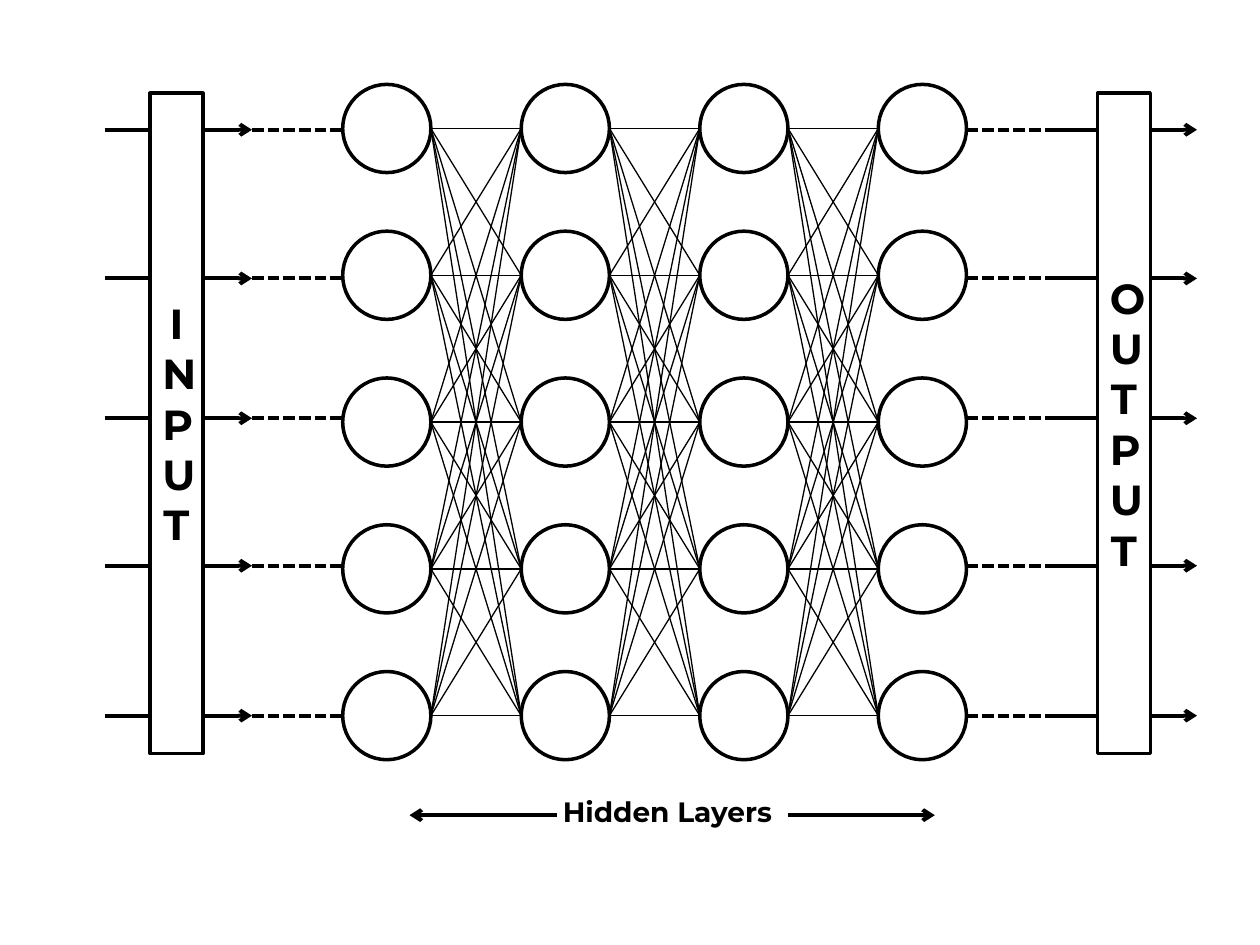
from dataclasses import dataclass
from itertools import product

from lxml.etree import SubElement
from pptx import Presentation
from pptx.dml.color import RGBColor
from pptx.enum.dml import MSO_LINE_DASH_STYLE as Dash
from pptx.enum.shapes import MSO_CONNECTOR as Connector, MSO_SHAPE as Shape
from pptx.enum.text import MSO_ANCHOR as Anchor, MSO_AUTO_SIZE as AutoSize, PP_ALIGN as Align
from pptx.oxml.ns import qn
from pptx.util import Inches, Pt


@dataclass(frozen=True)
class Theme:
    font: str = "Montserrat"
    ink: RGBColor = RGBColor(0, 0, 0)
    paper: RGBColor = RGBColor(255, 255, 255)
    bar_size: float = 24
    caption_size: float = 16
    outline: float = 2
    signal: float = 2.25
    link: float = 0.75


@dataclass(frozen=True)
class Grid:
    left: float = 2.72
    middle: float = 1.02
    column_step: float = 1.417
    row_step: float = 1.165
    columns: int = 4
    rows: int = 5
    diameter: float = 0.7

    def x(self, column: int) -> float:
        return self.left + column * self.column_step

    def y(self, row: int) -> float:
        return self.middle + row * self.row_step


@dataclass(frozen=True)
class Bar:
    label: str
    left: float
    arrow: tuple[float, float]
    dashes: tuple[float, float]


THEME = Theme()
GRID = Grid()
SIGNAL_ROWS = (1.03, 2.21, 3.32, 4.49, 5.68)
BARS = (
    Bar("INPUT", 1.19, (0.83, 2.0), (2.0, 2.72)),
    Bar("OUTPUT", 8.71, (8.33, 9.5), (7.67, 8.38)),
)
BAR_TOP, BAR_WIDTH, BAR_HEIGHT = 0.74, 0.42, 5.24
CAPTION_Y = 6.47
CAPTION_ARROWS = ((4.42, 3.25), (6.25, 7.42))

prs = Presentation()
prs.slide_width, prs.slide_height = Inches(10), Inches(7.5)
s = prs.slides.add_slide(prs.slide_layouts[6])


def add_line(start: tuple[float, float], end: tuple[float, float], width: float,
             arrow: bool = False, dashed: bool = False) -> None:
    sp = s.shapes.add_connector(Connector.STRAIGHT, *map(Inches, (*start, *end)))
    sp.line.color.rgb = THEME.ink
    sp.line.width = Pt(width)
    if dashed:
        sp.line.dash_style = Dash.SQUARE_DOT
    if arrow:
        SubElement(sp.line._get_or_add_ln(), qn("a:tailEnd"), type="arrow")
    SubElement(sp._element.spPr, qn("a:effectLst"))


def add_outline(kind: Shape, left: float, top: float, width: float, height: float):
    sp = s.shapes.add_shape(kind, *map(Inches, (left, top, width, height)))
    sp.shadow.inherit = False
    sp.fill.background()
    sp.line.color.rgb = THEME.ink
    sp.line.width = Pt(THEME.outline)
    return sp


def write(tf, text: str, size: float) -> None:
    p = tf.paragraphs[0]
    p.text = text
    p.font.name = THEME.font
    p.font.size = Pt(size)
    p.font.bold = True
    p.font.color.rgb = THEME.ink


def add_network() -> None:
    for column, row in product(range(GRID.columns), range(GRID.rows)):
        add_outline(Shape.OVAL, GRID.x(column), GRID.y(row) - GRID.diameter / 2,
                    GRID.diameter, GRID.diameter)
    for column, row, target in product(range(GRID.columns - 1), range(GRID.rows), range(GRID.rows)):
        add_line((GRID.x(column) + GRID.diameter, GRID.y(row)),
                 (GRID.x(column + 1), GRID.y(target)), THEME.link)


def add_bar(bar: Bar) -> None:
    for y in SIGNAL_ROWS:
        add_line((bar.arrow[0], y), (bar.arrow[1], y), THEME.signal, arrow=True)
        add_line((bar.dashes[0], y), (bar.dashes[1], y), THEME.signal, dashed=True)
    sp = add_outline(Shape.RECTANGLE, bar.left, BAR_TOP, BAR_WIDTH, BAR_HEIGHT)
    sp.fill.solid()
    sp.fill.fore_color.rgb = THEME.paper
    tf = sp.text_frame
    tf.word_wrap = True
    tf.vertical_anchor = Anchor.MIDDLE
    write(tf, bar.label, THEME.bar_size)
    tf.paragraphs[0].alignment = Align.CENTER


def add_caption() -> None:
    sp = s.shapes.add_textbox(*map(Inches, (4.37, 6.26, 1.96, 0.37)))
    tf = sp.text_frame
    tf.word_wrap = False
    tf.auto_size = AutoSize.SHAPE_TO_FIT_TEXT
    write(tf, "Hidden Layers", THEME.caption_size)
    for start, end in CAPTION_ARROWS:
        add_line((start, CAPTION_Y), (end, CAPTION_Y), THEME.signal, arrow=True)


add_network()
add_caption()
for bar in BARS:
    add_bar(bar)

prs.save("out.pptx")
